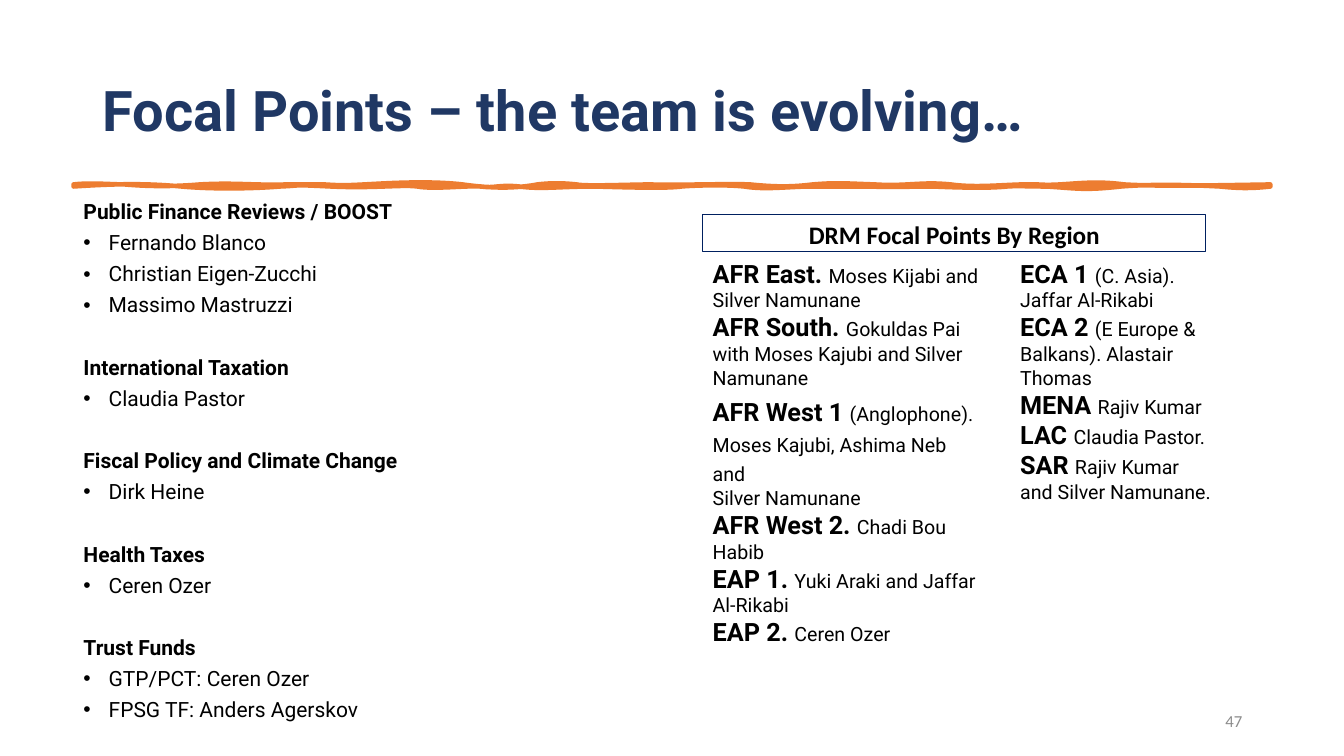
from dataclasses import dataclass

from lxml import etree
from pptx import Presentation
from pptx.dml.color import RGBColor
from pptx.enum.shapes import MSO_SHAPE
from pptx.enum.text import MSO_ANCHOR, MSO_AUTO_SIZE, PP_ALIGN
from pptx.oxml.ns import qn
from pptx.util import Inches, Pt

RECTANGLE = MSO_SHAPE.RECTANGLE
TOP, MIDDLE = MSO_ANCHOR.TOP, MSO_ANCHOR.MIDDLE
LEFT, CENTER, RIGHT = PP_ALIGN.LEFT, PP_ALIGN.CENTER, PP_ALIGN.RIGHT
GROW = MSO_AUTO_SIZE.SHAPE_TO_FIT_TEXT


@dataclass(frozen=True)
class Theme:
    """Colours, fonts and type sizes of the slide."""
    title: str = "203864"
    ink: str = "000000"
    rule: str = "ED7D31"
    frame: str = "002060"
    muted: str = "8C8C8C"
    font: str = "Roboto"
    label_font: str = "Calibri"
    title_size: float = 40
    region_size: float = 18
    topic_size: float = 15
    name_size: float = 14
    number_size: float = 12
    rule_width: float = 3.25
    frame_width: float = 0.75


THEME = Theme()

TOPICS = [
    ("Public Finance Reviews / BOOST",
     ["Fernando Blanco", "Christian Eigen-Zucchi", "Massimo Mastruzzi"]),
    ("International Taxation", ["Claudia Pastor"]),
    ("Fiscal Policy and Climate Change", ["Dirk Heine"]),
    ("Health Taxes", ["Ceren Ozer"]),
    ("Trust Funds", ["GTP/PCT: Ceren Ozer", "FPSG TF: Anders Agerskov"]),
]

AFRICA_ASIA = [
    ("AFR East. ", "Moses Kijabi and Silver Namunane", 1.0),
    ("AFR South. ", "Gokuldas Pai with Moses Kajubi and Silver Namunane", 1.0),
    ("AFR West 1 ", "(Anglophone). Moses Kajubi, Ashima Neb and", 1.25),
    ("", "Silver Namunane", 1.0),
    ("AFR West 2. ", "Chadi Bou Habib", 1.0),
    ("EAP 1. ", "Yuki Araki and Jaffar Al-Rikabi", 1.0),
    ("EAP 2. ", "Ceren Ozer", 1.0),
]

OTHER_REGIONS = [
    ("ECA 1 ", "(C. Asia). Jaffar Al-Rikabi", 1.0),
    ("ECA 2 ", "(E Europe & Balkans). Alastair Thomas", 1.0),
    ("MENA ", "Rajiv Kumar", 1.0),
    ("LAC ", "Claudia Pastor.", 1.0),
    ("SAR ", "Rajiv Kumar and Silver Namunane.", 1.0),
]

UPPER_WAVES = [
    (0.16, -0.02, 0.38, 0, 0.51), (0.63, 0.01, 0.89, 0.03, 1.25),
    (1.61, -0.02, 1.78, 0.01, 2.11), (2.44, 0, 2.34, 0, 2.49),
    (2.65, 0.01, 2.69, 0.01, 2.88), (3.07, -0.01, 3.51, -0.04, 3.86),
    (4.21, 0.05, 4.44, 0.03, 4.6), (4.76, -0.02, 4.9, -0.01, 4.99),
    (5.08, 0.02, 5.52, 0, 5.73), (5.94, 0.01, 6.5, -0.01, 6.71),
    (6.92, 0.02, 7.09, 0.03, 7.33), (7.57, -0.02, 7.65, -0.01, 7.95),
    (8.26, 0.02, 8.41, -0.03, 8.7), (8.99, 0.04, 9.29, -0.01, 9.56),
    (9.82, 0.02, 10.05, -0.05, 10.42), (10.78, 0.02, 11.26, 0.01, 11.87),
]
LOWER_WAVES = [
    (11.69, 0.02, 11.57, 0.02, 11.37), (11.17, -0.01, 10.76, -0.03, 10.39),
    (10.02, 0.04, 9.97, 0.02, 9.65), (9.32, 0, 9.45, -0.01, 9.26),
    (9.07, 0.02, 8.75, 0.01, 8.52), (8.29, 0, 8.11, 0.01, 7.9),
    (7.68, 0, 7.55, 0, 7.27), (7, 0.01, 6.84, 0.03, 6.65),
    (6.46, -0.02, 6.15, -0.01, 6.03), (5.9, 0.02, 5.51, 0.01, 5.17),
    (4.82, 0, 4.64, 0.03, 4.42), (4.21, -0.02, 4.18, 0.02, 4.04),
    (3.9, -0.01, 3.57, 0.03, 3.41), (3.26, -0.02, 2.98, 0.02, 2.55),
    (2.13, -0.02, 2.3, -0.01, 2.05), (1.8, 0.02, 1.4, 0.03, 1.07),
    (0.74, -0.03, 0.45, -0.03, 0),
]


def add_run(paragraph, text, size, bold=False, color=THEME.ink, font=THEME.font):
    """Append one formatted run to a paragraph."""
    run = paragraph.add_run()
    run.text = text
    formats = {"size": Pt(size), "bold": bold, "name": font}
    for attribute, value in formats.items():
        setattr(run.font, attribute, value)
    run.font.color.rgb = RGBColor.from_string(color)


def format_paragraph(paragraph, **formats):
    """Set paragraph attributes from format values."""
    for attribute, value in formats.items():
        setattr(paragraph, attribute, value)


def add_frame(slide, box, anchor=TOP):
    """Add a wrapping text box and return its text frame."""
    frame = slide.shapes.add_textbox(*map(Inches, box)).text_frame
    frame.word_wrap = True
    frame.vertical_anchor = anchor
    return frame


def paragraphs(frame):
    """Yield the first paragraph of a frame, then new ones."""
    yield frame.paragraphs[0]
    while True:
        yield frame.add_paragraph()


def add_title(slide, box):
    """Place the slide title."""
    title = add_frame(slide, box, MIDDLE).paragraphs[0]
    format_paragraph(title, alignment=LEFT, line_spacing=0.9)
    add_run(title, "Focal Points – the team is evolving…",
            THEME.title_size, True, THEME.title)


def curve_points(level, waves):
    """List two control points and the end point of each curve."""
    return [point for x1, y1, x2, y2, end in waves
            for point in ((x1, level + y1), (x2, level + y2), (end, level))]


def bend_segments(rule, box):
    """Turn each three straight segments into a curve and fit the frame to the box."""
    top, height = Inches(box[1]), Inches(box[3])
    outline = rule._element.find(".//" + qn("a:path"))
    for point in outline.iter(qn("a:pt")):
        point.set("y", str(int(point.get("y")) + rule.top - top))
    segments = outline.findall(qn("a:lnTo"))
    for first, second, last in zip(segments[::3], segments[1::3], segments[2::3]):
        curve = etree.Element(qn("a:cubicBezTo"))
        first.addprevious(curve)
        for segment in (first, second, last):
            curve.append(segment[0])
            outline.remove(segment)
    outline.set("h", str(height))
    rule.top, rule.height = top, height


def add_wavy_rule(slide, box):
    """Draw the hand-drawn rule under the title."""
    left, top, width, height = box
    points = curve_points(0, UPPER_WAVES)
    points += [(width, height / 2)] * 2 + [(width, height)]
    points += curve_points(height, LOWER_WAVES)
    builder = slide.shapes.build_freeform(Inches(left), Inches(top))
    builder.add_line_segments([(Inches(left + x), Inches(top + y)) for x, y in points])
    rule = builder.convert_to_shape()
    bend_segments(rule, box)
    rule.shadow.inherit = False
    rule.fill.solid()
    rule.fill.fore_color.rgb = RGBColor.from_string(THEME.rule)
    rule.line.color.rgb = RGBColor.from_string(THEME.rule)
    rule.line.width = Pt(THEME.rule_width)


def add_topics(slide, box):
    """List the topics with their bulleted focal points."""
    lines = paragraphs(add_frame(slide, box))
    for index, (topic, people) in enumerate(TOPICS):
        heading = next(lines)
        format_paragraph(heading, line_spacing=0.9, space_before=Pt(28.25 if index else 0))
        add_run(heading, topic, THEME.topic_size, True)
        for person in people:
            item = next(lines)
            properties = item._p.get_or_add_pPr()
            properties.set("marL", str(Inches(0.25)))
            properties.set("indent", str(-Inches(0.25)))
            etree.SubElement(properties, qn("a:buFont")).set("typeface", "Arial")
            etree.SubElement(properties, qn("a:buChar")).set("char", "•")
            format_paragraph(item, line_spacing=0.9, space_before=Pt(6))
            add_run(item, person, THEME.topic_size)


def add_region_column(slide, box, regions):
    """List regions in bold, each followed by its focal points."""
    frame = add_frame(slide, box)
    frame.auto_size = GROW
    for (region, people, spacing), line in zip(regions, paragraphs(frame)):
        line.line_spacing = spacing
        if region:
            add_run(line, region, THEME.region_size, True)
        add_run(line, people, THEME.name_size)


def add_regions(slide, box):
    """Place the framed heading and two columns of regions."""
    left, top, width, height = box
    heading = slide.shapes.add_shape(RECTANGLE, *map(Inches, (left, top, width, 0.37)))
    heading.shadow.inherit = False
    heading.fill.background()
    heading.line.color.rgb = RGBColor.from_string(THEME.frame)
    heading.line.width = Pt(THEME.frame_width)
    heading.text_frame.vertical_anchor = TOP
    label = heading.text_frame.paragraphs[0]
    label.alignment = CENTER
    add_run(label, "DRM Focal Points By Region", THEME.region_size, True,
            font=THEME.label_font)
    column_top = top + 0.38
    add_region_column(slide, (left, column_top, 2.84, height - 0.38), AFRICA_ASIA)
    add_region_column(slide, (left + 3.05, column_top, 2.1, 2.86), OTHER_REGIONS)


def add_slide_number(slide, box):
    """Place the slide number."""
    number = add_frame(slide, box, MIDDLE).paragraphs[0]
    format_paragraph(number, alignment=RIGHT, space_after=Pt(6))
    add_run(number, "47", THEME.number_size, color=THEME.muted, font=THEME.label_font)


def main():
    """Build and save the slide."""
    deck = Presentation()
    deck.slide_width, deck.slide_height = Inches(13.33), Inches(7.5)
    slide = deck.slides.add_slide(deck.slide_layouts[6])
    add_title(slide, (0.92, 0.4, 11.5, 1.45))
    add_wavy_rule(slide, (0.73, 1.83, 11.87, 0.02))
    add_slide_number(slide, (9.42, 6.95, 3, 0.4))
    add_topics(slide, (0.73, 1.95, 4.87, 5.15))
    add_regions(slide, (6.97, 2.13, 4.99, 4.39))
    deck.save("out.pptx")


if __name__ == "__main__":
    main()
